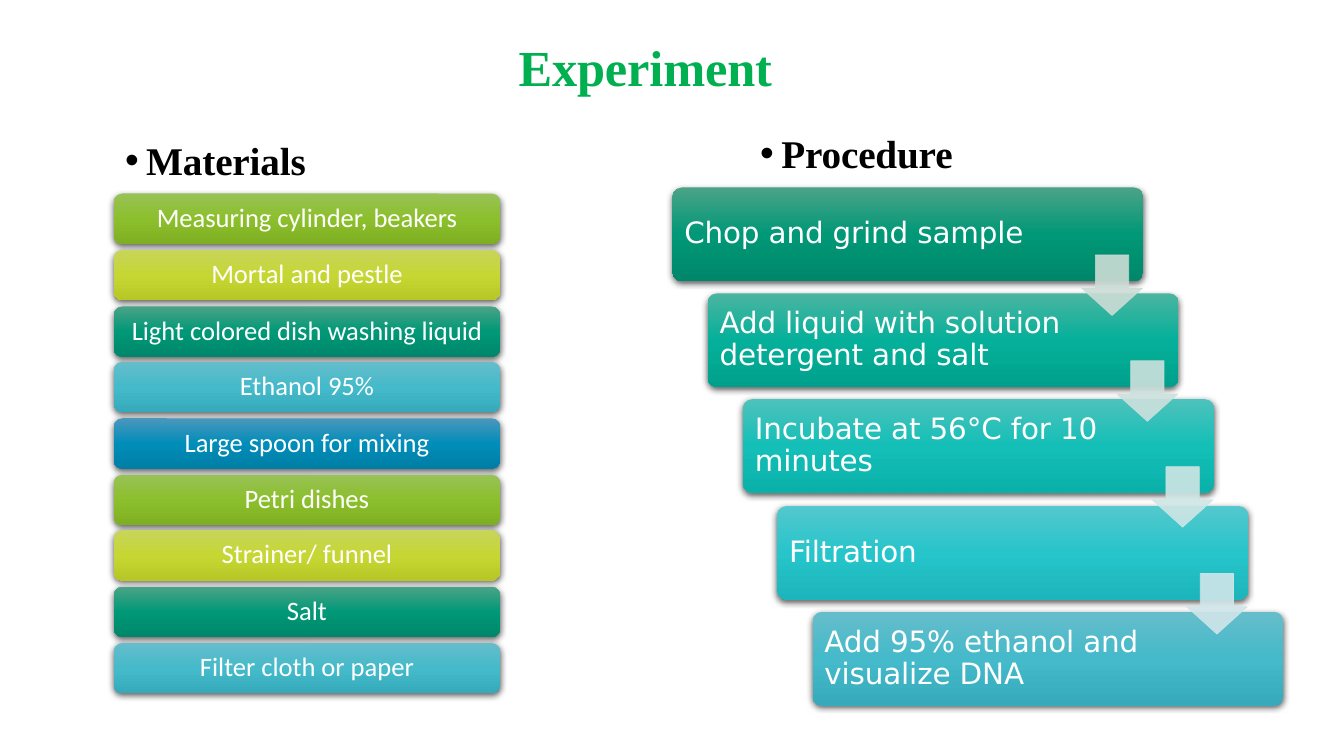
from lxml import etree
from pptx import Presentation
from pptx.dml.color import RGBColor
from pptx.enum.shapes import MSO_SHAPE
from pptx.enum.text import MSO_ANCHOR, PP_ALIGN
from pptx.oxml import parse_xml
from pptx.oxml.ns import nsdecls, qn
from pptx.util import Emu, Pt

ROUNDED = MSO_SHAPE.ROUNDED_RECTANGLE
DOWN_ARROW = MSO_SHAPE.DOWN_ARROW
TOP, MIDDLE = MSO_ANCHOR.TOP, MSO_ANCHOR.MIDDLE
LEFT, CENTER = PP_ALIGN.LEFT, PP_ALIGN.CENTER
PX = 9144  # 100 px to the inch

COLORS = {"title": "00B050", "heading": "000000", "label": "FFFFFF", "shadow": "000000"}
GRADIENTS = {  # top, middle, bottom
    "green": ("98C256", "8CBF2C", "7EAF22"),
    "lime": ("C7D55B", "C6D633", "B7C725"),
    "emerald": ("4BA387", "009877", "00876A"),
    "jade": ("4BB5A1", "05B09A", "00A18C"),
    "turquoise": ("4EC2BC", "13BFB7", "0AB1A9"),
    "cyan": ("53C8CD", "26C5CB", "1BB5BB"),
    "sky": ("65BDCB", "44BACA", "36AABA"),
    "blue": ("4B97BC", "018DB9", "007EA5"),
}


def write_text(shape, text, size, font, color, bold=False, align=LEFT, anchor=MIDDLE,
               insets=(0, 1, 0, 0), line_spacing=None, space_before=0, spacing=0, bullet=False):
    frame = shape.text_frame
    frame.word_wrap = True
    frame.vertical_anchor = anchor
    (frame.margin_left, frame.margin_top,
     frame.margin_right, frame.margin_bottom) = [Emu(inset * PX) for inset in insets]
    paragraph = frame.paragraphs[0]
    paragraph.alignment = align
    paragraph.space_before = Pt(space_before)
    if line_spacing:
        paragraph.line_spacing = line_spacing
    if bullet:
        properties = paragraph._p.get_or_add_pPr()
        properties.set("marL", str(22 * PX))
        properties.set("indent", str(-21 * PX))
        etree.SubElement(properties, qn("a:buFont")).set("typeface", "Arial")
        etree.SubElement(properties, qn("a:buChar")).set("char", "•")
    run = paragraph.add_run()
    run.text = text
    run.font.size = Pt(size)
    run.font.name = font
    run.font.bold = bold
    run.font.color.rgb = RGBColor.from_string(color)
    if spacing:
        run._r.get_or_add_rPr().set("spc", str(spacing))


def add_card(shapes, left, top, width, height, gradient, corner):
    card = shapes.add_shape(ROUNDED, *[Emu(value * PX) for value in (left, top, width, height)])
    card.adjustments[0] = corner
    card.line.fill.background()
    card.shadow.inherit = False
    stops = "".join(
        f'<a:gs pos="{position}"><a:srgbClr val="{color}"/></a:gs>'
        for position, color in zip((0, 50000, 100000), GRADIENTS[gradient]))
    properties = card._element.spPr
    properties.find(qn("a:prstGeom")).addnext(parse_xml(
        f'<a:gradFill {nsdecls("a")} rotWithShape="1"><a:gsLst>{stops}</a:gsLst>'
        '<a:lin ang="5400000" scaled="0"/></a:gradFill>'))
    properties.find(qn("a:effectLst")).append(parse_xml(
        f'<a:outerShdw {nsdecls("a")} blurRad="57150" dist="19050" dir="5400000" algn="ctr" '
        f'rotWithShape="0"><a:srgbClr val="{COLORS["shadow"]}"><a:alpha val="63000"/>'
        '</a:srgbClr></a:outerShdw>'))
    return card


presentation = Presentation()
presentation.slide_width = Emu(1333 * PX)
presentation.slide_height = Emu(750 * PX)
slide = presentation.slides.add_slide(presentation.slide_layouts[6])
shapes = slide.shapes

# Title
title = shapes.add_textbox(461 * PX, 34 * PX, 358 * PX, 62 * PX)
write_text(title, "Experiment", 36, "Times New Roman", COLORS["title"], bold=True,
           align=CENTER, space_before=1, spacing=-10)

# Column headings
headings = [("Materials", 123, 134, 278, 48), ("Procedure", 753, 127, 248, 49)]
for text, left, top, width, height in headings:
    heading = shapes.add_textbox(left * PX, top * PX, width * PX, height * PX)
    write_text(heading, text, 28, "Times New Roman", COLORS["heading"], bold=True,
               anchor=TOP, space_before=1, spacing=-10, bullet=True)

# Materials: evenly stacked bars, five gradients in turn
materials = [
    "Measuring cylinder, beakers", "Mortal and pestle", "Light colored dish washing liquid",
    "Ethanol 95%", "Large spoon for mixing", "Petri dishes", "Strainer/ funnel", "Salt",
    "Filter cloth or paper",
]
bar_gradients = ["green", "lime", "emerald", "sky", "blue"]
for index, material in enumerate(materials):
    top = 192 + round(index * 446 / 8)
    bar = add_card(shapes, 113, top, 383, 50, bar_gradients[index % 5], 0.17)
    write_text(bar, material, 19, "Calibri", COLORS["label"], align=CENTER,
               insets=(8, 8, 8, 8), line_spacing=0.9)

# Procedure: a staircase of cards
steps = [
    ("Chop and grind sample", "emerald"),
    ("Add liquid with solution detergent and salt", "jade"),
    ("Incubate at 56°C for 10 minutes", "turquoise"),
    ("Filtration", "cyan"),
    ("Add 95% ethanol and visualize DNA", "sky"),
]
corners = [(667 + round(index * 139 / 4), 186 + round(index * 421 / 4))
           for index in range(len(steps))]
for (text, gradient), (left, top) in zip(steps, corners):
    card = add_card(shapes, left, top, 467, 93, gradient, 0.1)
    write_text(card, text, 21, "DejaVu Sans", COLORS["label"],
               insets=(9, 9, 105, 9), line_spacing=0.9, spacing=-10)

# Arrows from each step to the next
arrow_colors = ["CCDDD6", "CDE1DD", "CFE6E5", "D0E6EA"]
for color, (left, top) in zip(arrow_colors, corners):
    arrow = shapes.add_shape(DOWN_ARROW, (left + 406) * PX, (top + 67) * PX, 60 * PX, 60 * PX)
    arrow.adjustments[0], arrow.adjustments[1] = 0.55, 0.45
    arrow.shadow.inherit = False
    arrow.line.width = Pt(0.5)
    for fill in (arrow.fill, arrow.line.fill):
        fill.solid()
        fill.fore_color.rgb = RGBColor.from_string(color)
    for color_element in arrow._element.spPr.iter(qn("a:srgbClr")):
        etree.SubElement(color_element, qn("a:alpha")).set("val", "90000")

presentation.save("out.pptx")
